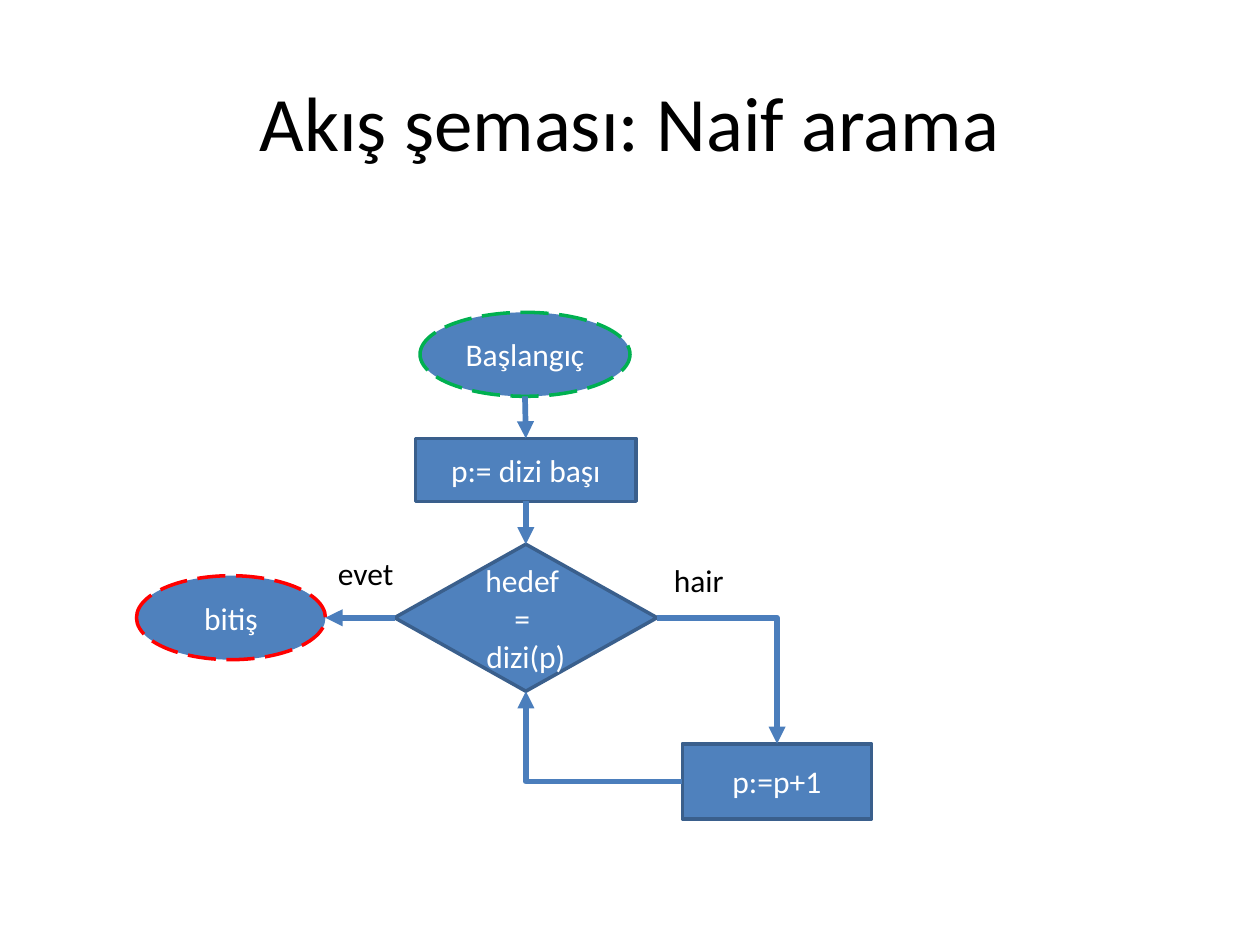
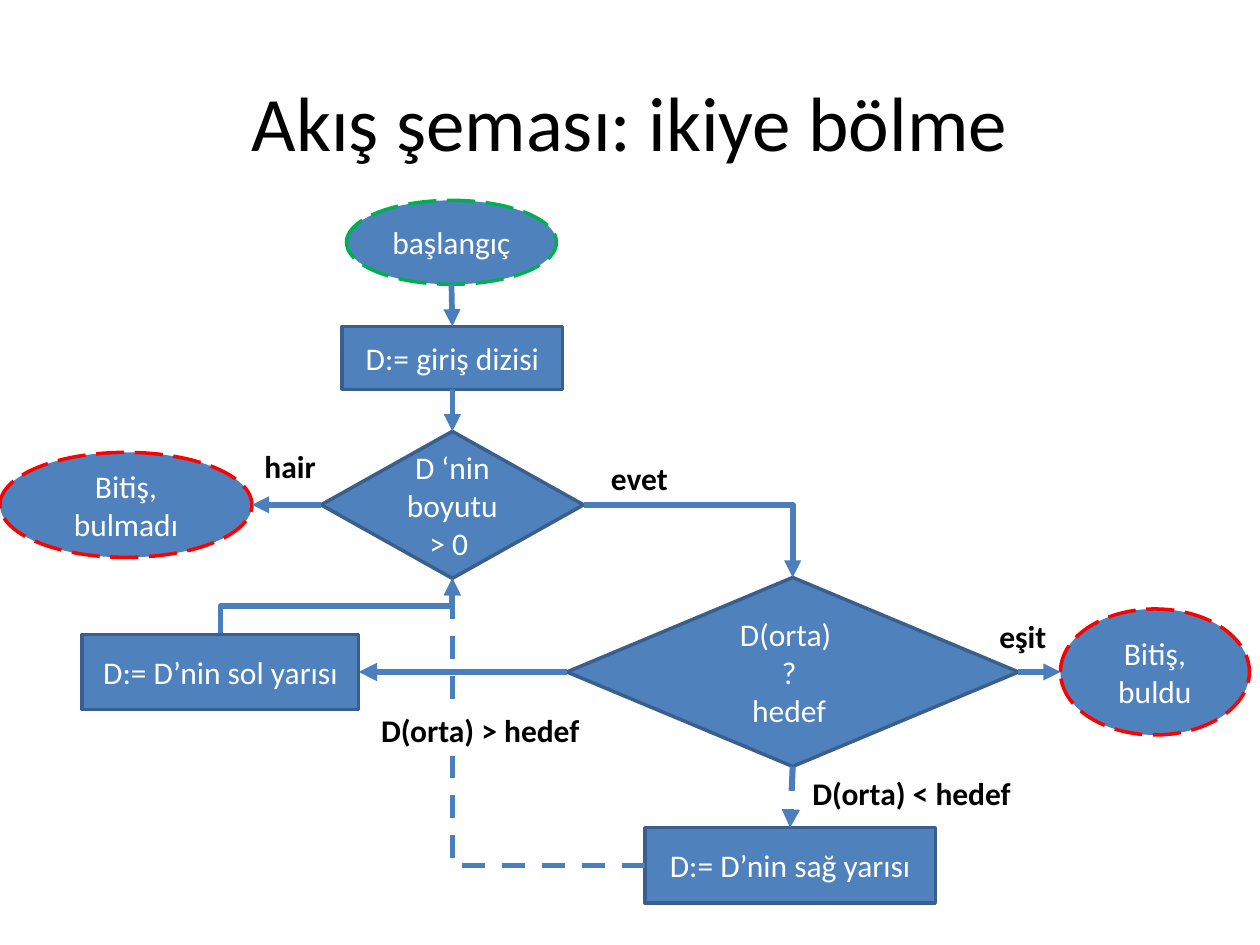
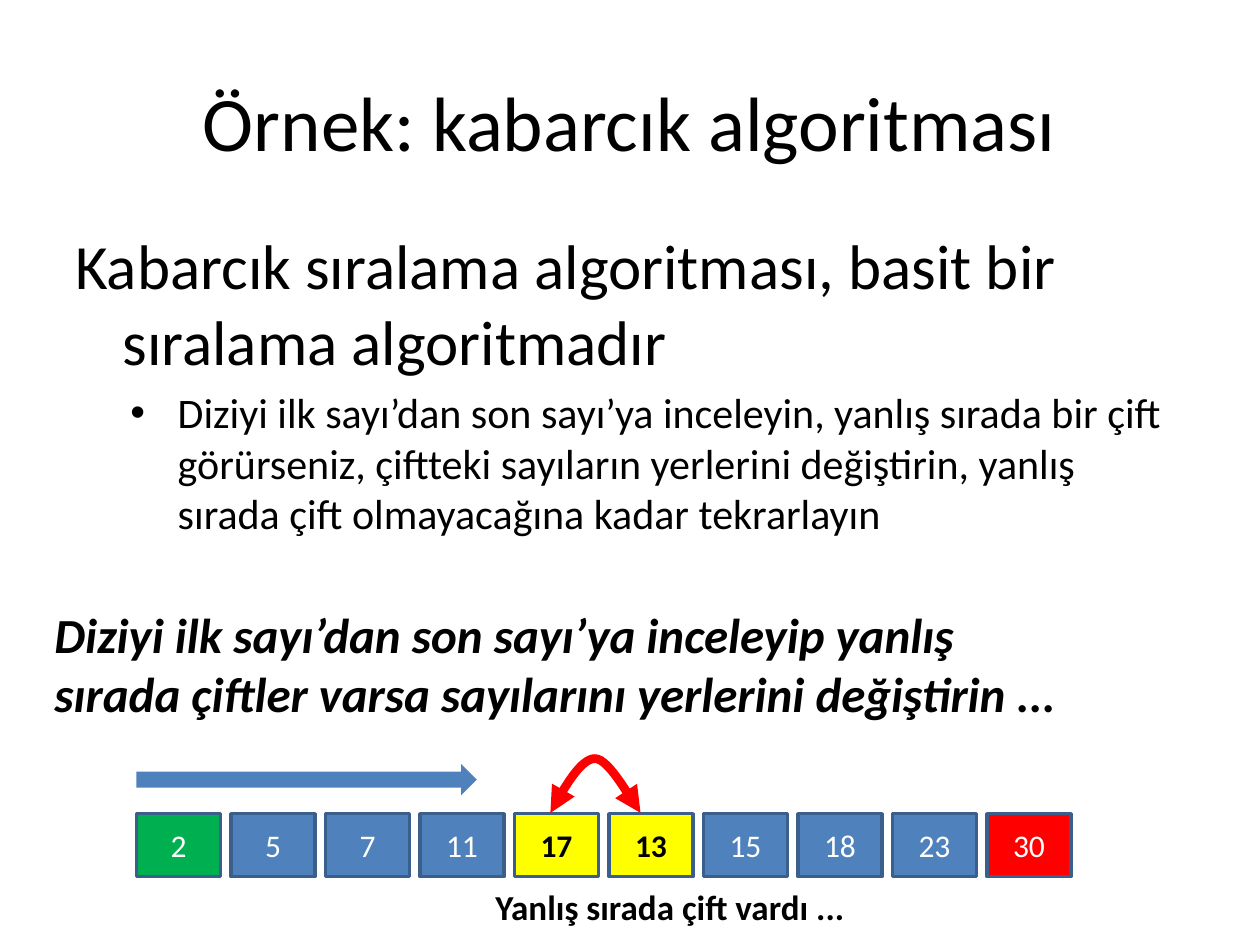
from lxml.etree import SubElement as Sub
from pptx import Presentation
from pptx.dml.color import RGBColor as Rgb
from pptx.enum.dml import MSO_LINE as Dash
from pptx.enum.shapes import MSO_CONNECTOR as Link, MSO_SHAPE as Form
from pptx.enum.text import MSO_ANCHOR as Anchor, MSO_AUTO_SIZE as Fit, PP_ALIGN as Align
from pptx.oxml.ns import qn
from pptx.util import Pt

FONT = "Calibri"
BLACK = Rgb(0x00, 0x00, 0x00)
WHITE = Rgb(0xFF, 0xFF, 0xFF)
BLUE = Rgb(0x4F, 0x81, 0xBD)
NAVY = Rgb(0x3A, 0x5F, 0x8C)
STEEL = Rgb(0x4B, 0x7E, 0xBC)
GREEN = Rgb(0x00, 0xB0, 0x50)
RED = Rgb(0xFF, 0x00, 0x00)
YELLOW = Rgb(0xFF, 0xFF, 0x00)

OVAL = Form.FLOWCHART_CONNECTOR
STEP = Form.FLOWCHART_PROCESS
TEST = Form.FLOWCHART_DECISION


# Text
def style(para, size=18, color=BLACK, bold=False, italic=False, align=Align.LEFT):
    para.alignment = align
    font = para.font
    font.name, font.size = FONT, Pt(size)
    font.bold, font.italic = bold, italic
    font.color.rgb = color


def label(page, text, box, wrap=False, fill=None, **look):
    shape = page.shapes.add_textbox(*map(Pt, box))
    frame = shape.text_frame
    frame.word_wrap = wrap
    frame.auto_size = Fit.SHAPE_TO_FIT_TEXT
    if fill is not None:
        shape.fill.solid()
        shape.fill.fore_color.rgb = fill
    frame.paragraphs[0].text = text
    style(frame.paragraphs[0], **look)


def title(page, text):
    frame = page.shapes.add_textbox(Pt(36), Pt(24), Pt(648), Pt(90)).text_frame
    frame.word_wrap = True
    frame.vertical_anchor = Anchor.MIDDLE
    frame.paragraphs[0].text = text
    style(frame.paragraphs[0], 44, align=Align.CENTER)


def body(page, items, box):
    frame = page.shapes.add_textbox(*map(Pt, box)).text_frame
    frame.word_wrap = True
    for i, (text, size, left, mark) in enumerate(items):
        para = frame.add_paragraph() if i else frame.paragraphs[0]
        para.text = text
        props = para._p.get_or_add_pPr()
        props.set("marL", str(Pt(left)))
        props.set("indent", str(-Pt(27)))
        if mark:
            Sub(props, qn("a:buFont"), typeface="Arial")
            Sub(props, qn("a:buChar"), char=mark)
        para.space_before = Pt(round(size * 0.2))
        style(para, size)


# Shapes
def node(page, form, text, box, fill=BLUE, edge=NAVY, color=WHITE, bold=False):
    shape = page.shapes.add_shape(form, *map(Pt, box))
    shape.shadow.inherit = False
    shape.fill.solid()
    shape.fill.fore_color.rgb = fill
    if edge is None:
        shape.line.fill.background()
    else:
        shape.line.color.rgb = edge
        shape.line.width = Pt(2)
    if form == OVAL:
        shape.line.dash_style = Dash.LONG_DASH
    if text:
        frame = shape.text_frame
        frame.word_wrap = True
        frame.vertical_anchor = Anchor.MIDDLE
        frame.paragraphs[0].text = text
        style(frame.paragraphs[0], color=color, bold=bold, align=Align.CENTER)


# Lines and arrows
def tip(shape, *ends):
    line = shape.element.spPr.find(qn("a:ln"))
    for end in ends:
        Sub(line, qn("a:" + end), type="triangle")


def link(page, start, end, kind=Link.STRAIGHT, width=3.25, dash=False):
    line = page.shapes.add_connector(kind, *map(Pt, start + end))
    line.line.color.rgb = STEEL
    line.line.width = Pt(width)
    if dash:
        line.line.dash_style = Dash.DASH
    tip(line, "tailEnd")
    Sub(line.element.spPr, qn("a:effectLst"))
    return line


def elbow(page, start, end, bends=1, turn=0, dash=False):
    """Bent arrow; start and end hold before the turn (degrees) about the centre."""
    props = link(page, start, end, Link.ELBOW, dash=dash).element.spPr
    props.find(qn("a:prstGeom")).set("prst", f"bentConnector{bends + 1}")
    if turn:
        props.find(qn("a:xfrm")).set("rot", str(turn * 60000))


def curve(page, start, parts, steps=16):
    """Open line through cubic Bezier parts, with a tip at each end."""
    dots, last = [], start
    for one, two, end in parts:
        for i in range(1, steps + 1):
            t = i / steps
            u = 1 - t
            dots.append(tuple(
                Pt(u**3 * a + 3 * u * u * t * b + 3 * u * t * t * c + t**3 * d)
                for a, b, c, d in zip(last, one, two, end)))
        last = end
    pen = page.shapes.build_freeform(*map(Pt, start))
    pen.add_line_segments(dots, close=False)
    shape = pen.convert_to_shape()
    shape.shadow.inherit = False
    shape.fill.background()
    shape.line.color.rgb = RED
    shape.line.width = Pt(5)
    tip(shape, "headEnd", "tailEnd")


# Slides
def naive(page):
    title(page, "Akış şeması: Naif arama")
    node(page, STEP, "p:= dizi başı", (237.5, 250.5, 126, 36))
    node(page, TEST, "hedef \n= \ndizi(p)", (225.5, 311, 150, 84))
    node(page, OVAL, "Başlangıç", (240, 178.5, 120, 48), edge=GREEN)
    node(page, OVAL, "bitiş", (78, 329, 108, 48), edge=RED)
    node(page, STEP, "p:=p+1", (390, 425, 108, 43))

    link(page, (300, 226.5), (300.5, 250.5))
    link(page, (300.5, 286.5), (300.5, 311))
    link(page, (225.5, 353), (186, 353))
    elbow(page, (375.5, 353), (444, 425))
    elbow(page, (300.5, 395), (390, 446.5), turn=180)

    label(page, "evet", (186, 313, 60, 29), wrap=True)
    label(page, "hair", (378, 317, 43, 29))


def halve(page):
    title(page, "Akış şeması: ikiye bölme")
    node(page, STEP, "D:= giriş dizisi", (195.5, 186.5, 126, 36))
    node(page, TEST, "D ‘nin boyutu> 0 ", (183.5, 246.5, 150, 84))
    node(page, OVAL, "başlangıç", (198, 114.5, 120, 48), edge=GREEN)
    node(page, OVAL, "Bitiş, bulmadı", (0, 258.5, 144, 60), edge=RED)
    node(page, TEST, "D(orta)  \n? \nhedef ", (324, 330, 258, 108))
    node(page, OVAL, "Bitiş, buldu", (606, 348, 108, 72), edge=RED)
    node(page, STEP, "D:= D’nin sağ yarısı", (368.5, 473, 166, 43))

    link(page, (258, 162.5), (258.5, 186.5))
    link(page, (258.5, 222.5), (258.5, 246.5))
    link(page, (183.5, 288.5), (144, 288.5))
    elbow(page, (333.5, 288.5), (453, 330))
    link(page, (582, 384), (606, 384))
    link(page, (453, 438), (451.5, 473), width=3.5, dash=True)
    link(page, (324, 384), (205, 384), width=3.5)
    elbow(page, (258.5, 330.5), (368.5, 494.5), turn=180, dash=True)
    elbow(page, (208.25, 412.75), (176.25, 280.25), bends=2, turn=90)
    node(page, STEP, "D:= D’nin sol yarısı", (47, 362.5, 158, 43))

    label(page, "hair", (144, 252, 54, 29), wrap=True, bold=True)
    label(page, "evet", (342, 258.5, 47.5, 29), bold=True)
    label(page, "eşit", (564, 349, 42, 29), bold=True)
    label(page, "D(orta) < hedef ", (456.5, 439, 133, 29),
          bold=True, align=Align.CENTER)
    label(page, "D(orta) > hedef ", (210, 403, 133, 29), fill=WHITE,
          bold=True, align=Align.CENTER)


def bubble(page):
    title(page, "Örnek: kabarcık algoritması")
    body(page, [
        ("Kabarcık sıralama algoritması, basit bir sıralama algoritmadır",
         36, 27, None),
        ("Diziyi ilk sayı’dan son sayı’ya inceleyin, yanlış sırada bir çift "
         "görürseniz, çiftteki sayıların yerlerini değiştirin, yanlış sırada "
         "çift olmayacağına kadar tekrarlayın", 24, 58.5, "•"),
    ], (36, 126, 648, 356.5))

    # Row of numbers
    fills = {2: GREEN, 17: YELLOW, 13: YELLOW, 30: RED}
    for i, num in enumerate((2, 5, 7, 11, 17, 13, 15, 18, 23, 30)):
        fill = fills.get(num, BLUE)
        swap = fill == YELLOW
        node(page, Form.RECTANGLE, str(num), (78 + 54 * i, 465, 48, 36),
             fill, color=BLACK if swap else WHITE, bold=swap)

    # Swap and direction
    label(page, "Yanlış sırada çift vardı ...", (276, 502.5, 216, 31.5),
          size=20, bold=True)
    curve(page, (314.5, 464.5), [
        ((323, 449), (332, 433.5), (340, 433.5)),
        ((348.5, 433.5), (362, 460), (366, 464.5)),
    ])
    node(page, Form.RIGHT_ARROW, "", (78, 436.5, 194.5, 18), edge=None)
    label(page, "Diziyi ilk sayı’dan son sayı’ya inceleyip yanlış sırada "
          "çiftler varsa sayılarını yerlerini değiştirin ...",
          (24, 342, 594, 75), wrap=True, size=28, bold=True, italic=True)


def main():
    deck = Presentation()
    deck.slide_width, deck.slide_height = Pt(720), Pt(540)
    for draw in (naive, halve, bubble):
        draw(deck.slides.add_slide(deck.slide_layouts[6]))
    deck.save("out.pptx")


main()
